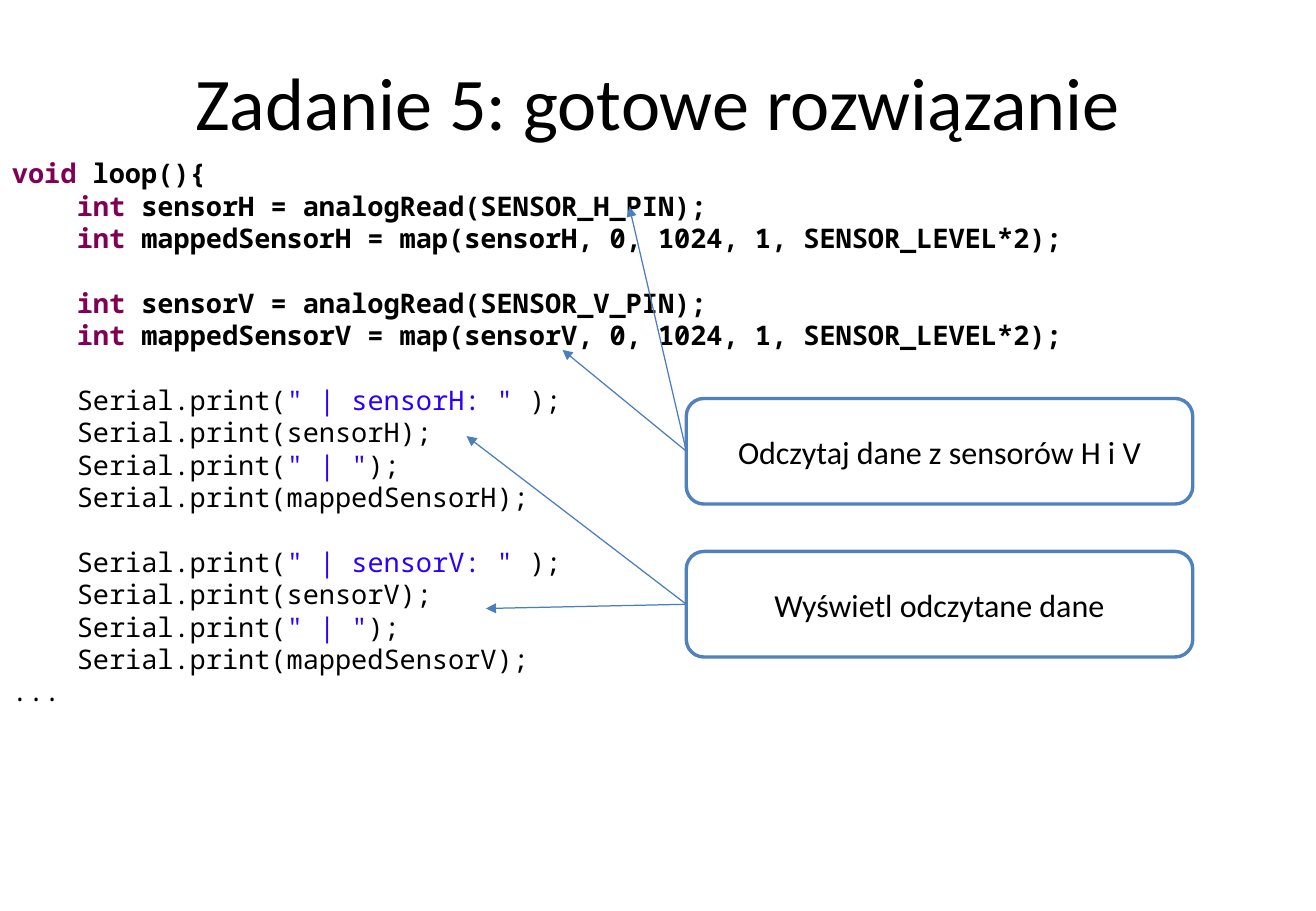
from pptx import Presentation
from pptx.dml.color import RGBColor
from pptx.enum.shapes import MSO_CONNECTOR, MSO_SHAPE
from pptx.enum.text import MSO_ANCHOR, PP_ALIGN
from pptx.oxml.ns import qn
from pptx.util import Pt
from lxml.etree import SubElement

# Content
TITLE = "Zadanie 5: gotowe rozwiązanie"
SENSORS = ["H", "V"]
HEADER = [("void", "keyword"), (" loop(){", "bold")]
READINGS = [
    [[("int ", "keyword"), (f"sensor{s} = analogRead(SENSOR_{s}_PIN);", "bold")],
     [("int ", "keyword"),
      (f"mappedSensor{s} = map(sensor{s}, 0, 1024, 1, SENSOR_LEVEL*2);", "bold")]]
    for s in SENSORS
]
PRINTS = [
    [[("Serial.print(", "plain"), (f'" | sensor{s}: "', "string"), (" );", "plain")],
     [(f"Serial.print(sensor{s});", "plain")],
     [("Serial.print(", "plain"), ('" | "', "string"), (");", "plain")],
     [(f"Serial.print(mappedSensor{s});", "plain")]]
    for s in SENSORS
]
FOOTER = [("...", "plain")]
# Callout text and the points its arrows reach
CALLOUTS = [
    ("Odczytaj dane z sensorów H i V", [(373, 122.4), (333.4, 207.4)]),
    ("Wyświetl odczytane dane", [(276.5, 258.5), (288, 360.7)]),
]

# Look
COLORS = {"text": "000000", "keyword": "7F0055", "string": "2A00FF",
          "box": "FFFFFF", "border": "4F81BD", "arrow": "4B7EBC"}
STYLES = {"keyword": ("keyword", True), "bold": ("text", True),
          "plain": ("text", False), "string": ("string", False)}
SLIDE_W, SLIDE_H = 780, 540
LINE_PITCH, CODE_INDENT = 19.2, 38.4
BOX_LEFT, BOX_TOP, BOX_W, BOX_H, BOX_STEP = 406.8, 236.2, 300.2, 62.6, 90.7


def color(name):
    return RGBColor.from_string(COLORS[name])


def format_run(run, font_name, size, color_name="text", bold=False):
    run.font.name, run.font.size, run.font.bold = font_name, Pt(size), bold
    run.font.color.rgb = color(color_name)


def centre_text(shape, text, size):
    frame = shape.text_frame
    frame.text = text
    frame.word_wrap = True
    frame.vertical_anchor = MSO_ANCHOR.MIDDLE
    frame.paragraphs[0].alignment = PP_ALIGN.CENTER
    format_run(frame.paragraphs[0].runs[0], "Calibri", size)


def add_code_line(paragraph, parts, indent=0, gap=0):
    paragraph.line_spacing = Pt(LINE_PITCH)
    paragraph.space_before = Pt(gap)
    paragraph._p.get_or_add_pPr().set("marL", str(Pt(indent)))
    for text, style in parts:
        run = paragraph.add_run()
        run.text = text
        format_run(run, "Noto Sans Mono", 16, *STYLES[style])


def add_arrow(shapes, start, end):
    arrow = shapes.add_connector(MSO_CONNECTOR.STRAIGHT,
                                 *(Pt(v) for v in (*start, *end)))
    arrow.line.color.rgb = color("arrow")
    arrow.line.width = Pt(0.75)
    SubElement(arrow.line._get_or_add_ln(), qn("a:tailEnd"), type="triangle")
    SubElement(arrow._element.spPr, qn("a:effectLst"))


prs = Presentation()
prs.slide_width, prs.slide_height = Pt(SLIDE_W), Pt(SLIDE_H)
slide = prs.slides.add_slide(prs.slide_layouts[5])
shapes = slide.shapes

# Title
title = shapes.title
title.left, title.top, title.width, title.height = Pt(39), Pt(15), Pt(702), Pt(90)
centre_text(title, TITLE, 44)

# Code listing: a one-line gap opens every group but the first
listing = shapes.add_textbox(Pt(0), Pt(89.5), Pt(SLIDE_W), Pt(356.4)).text_frame
listing.word_wrap = True
add_code_line(listing.paragraphs[0], HEADER)
for g, group in enumerate(READINGS + PRINTS):
    for i, parts in enumerate(group):
        gap = LINE_PITCH if g and i == 0 else 0
        add_code_line(listing.add_paragraph(), parts, CODE_INDENT, gap)
add_code_line(listing.add_paragraph(), FOOTER)

# Callouts
for n, (text, _) in enumerate(CALLOUTS):
    callout = shapes.add_shape(MSO_SHAPE.ROUNDED_RECTANGLE, Pt(BOX_LEFT),
                               Pt(BOX_TOP + n * BOX_STEP), Pt(BOX_W), Pt(BOX_H))
    callout.shadow.inherit = False
    callout.fill.solid()
    callout.fill.fore_color.rgb = color("box")
    callout.line.color.rgb = color("border")
    callout.line.width = Pt(2)
    centre_text(callout, text, 19)

# Arrows from the middle of each callout's left edge
for n, (_, targets) in enumerate(CALLOUTS):
    for target in targets:
        add_arrow(shapes, (BOX_LEFT, BOX_TOP + n * BOX_STEP + BOX_H / 2), target)

prs.save("out.pptx")
